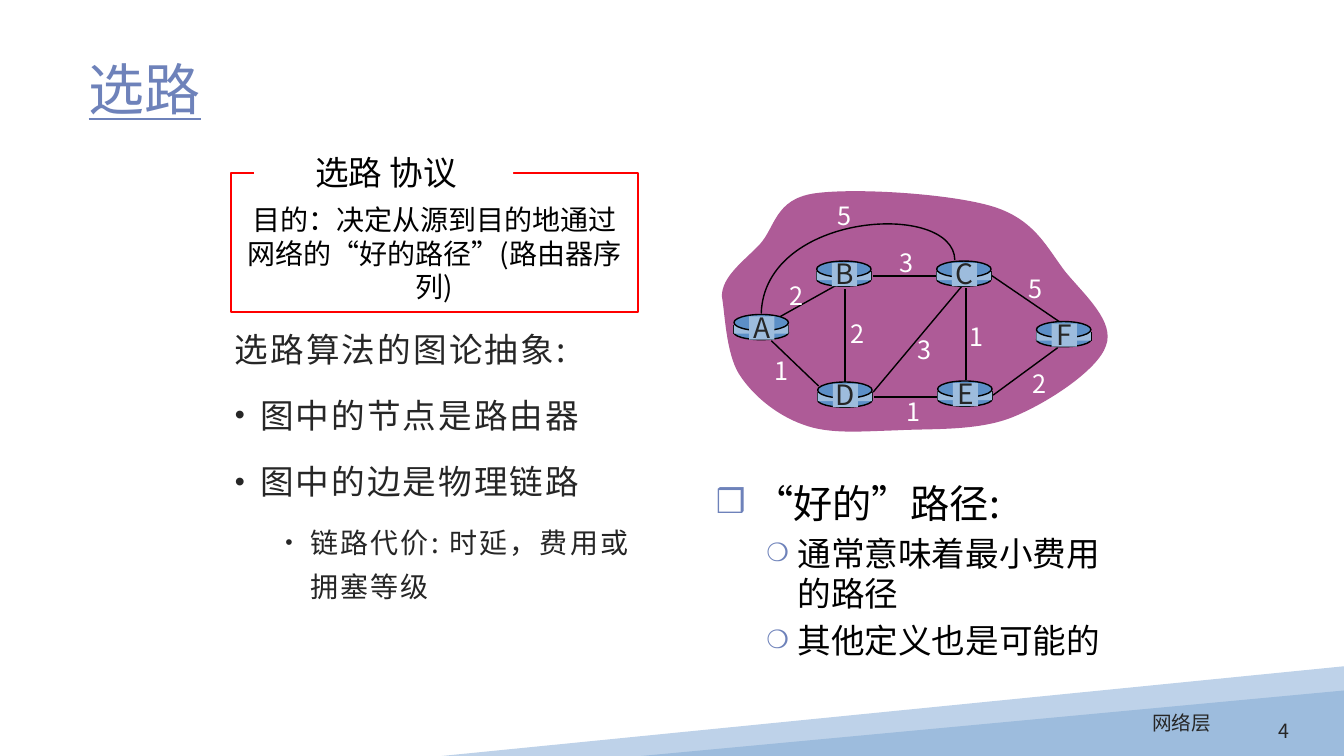
from dataclasses import dataclass
from typing import Optional

from lxml import etree
from pptx import Presentation
from pptx import util as u
from pptx.dml.color import RGBColor
from pptx.enum import shapes, text
from pptx.oxml.ns import qn

FONT = "Noto Sans CJK SC"
BLACK = RGBColor(0x00, 0x00, 0x00)
WHITE = RGBColor(0xFF, 0xFF, 0xFF)
INK = RGBColor(0x26, 0x26, 0x26)
RED = RGBColor(0xFF, 0x00, 0x00)
ACCENT = RGBColor(0x6E, 0x82, 0xBA)
CLOUD = RGBColor(0xAE, 0x5B, 0x97)
ROUTER_BLUE = RGBColor(0x5C, 0x8F, 0xC7)
ROUTER_LIGHT = RGBColor(0x9D, 0xBC, 0xDD)
BAND_LIGHT = RGBColor(0xBE, 0xD2, 0xE9)

LEFT, CENTER, RIGHT = text.PP_ALIGN.LEFT, text.PP_ALIGN.CENTER, text.PP_ALIGN.RIGHT
RECT, OVAL = shapes.MSO_SHAPE.RECTANGLE, shapes.MSO_SHAPE.OVAL
ROUTER_WIDTH = 0.54

Point = tuple[float, float]


@dataclass
class Router:
    name: str
    left: float
    top: float


@dataclass
class Link:
    start: Point
    end: Point
    cost: str
    cost_at: Point


@dataclass
class Item:
    words: str
    size: float
    margin: float
    hang: float
    bullet: str = ""
    bullet_size: int = 100
    level: int = 0
    before: float = 0


ROUTERS = [
    Router("A", 7.28, 3.12), Router("B", 8.1, 2.59), Router("C", 9.29, 2.59),
    Router("D", 8.11, 3.79), Router("E", 9.3, 3.78), Router("F", 10.28, 3.19),
]
LINKS = [
    Link((7.74, 3.14), (8.33, 2.81), "2", (7.72, 2.73)),
    Link((8.38, 2.87), (8.38, 3.8), "2", (8.33, 3.11)),
    Link((8.12, 3.83), (7.65, 3.38), "1", (7.57, 3.48)),
    Link((8.66, 3.89), (9.54, 2.84), "3", (8.99, 3.27)),
    Link((9.31, 3.94), (8.67, 3.94), "1", (8.88, 3.88)),
    Link((9.58, 2.86), (9.58, 3.77), "1", (9.51, 3.14)),
    Link((9.85, 3.92), (10.49, 3.45), "2", (10.13, 3.6)),
    Link((10.52, 3.2), (9.83, 2.73), "5", (10.09, 2.66)),
    Link((9.3, 2.74), (8.66, 2.74), "3", (8.81, 2.4)),
]
# Bezier points: a start, then two controls and an end for each segment
CLOUD_CURVE = [
    (7.16, 2.94), (7.16, 2.74), (7.38, 2.59), (7.54, 2.42),
    (7.69, 2.25), (7.69, 1.98), (8.07, 1.92), (8.46, 1.86), (9.43, 1.92), (9.85, 2.05),
    (10.27, 2.18), (10.39, 2.47), (10.57, 2.7), (10.76, 2.93), (11.06, 3.19), (10.97, 3.43),
    (10.89, 3.67), (10.39, 4), (10.04, 4.14), (9.69, 4.28), (9.23, 4.25), (8.88, 4.27),
    (8.53, 4.28), (8.22, 4.31), (7.96, 4.21), (7.71, 4.12), (7.47, 3.93), (7.33, 3.71),
    (7.2, 3.5), (7.19, 3.1), (7.16, 2.94),
]
A_TO_C_CURVE = [(9.47, 2.58), (9.46, 1.99), (7.58, 2.1), (7.55, 3.11)]
BAND_OUTLINE = [(13.33, 6.61), (13.33, 7.44), (8.97, 7.5), (4.38, 7.5)]
GRAPH_ITEMS = [
    Item("选路算法的图论抽象:", 24, 0.25, 0.25),
    Item("图中的节点是路由器", 24, 0.25, 0.25, "•", 85),
    Item("图中的边是物理链路", 24, 0.25, 0.25, "•", 85),
    Item("链路代价: 时延，费用或拥塞等级", 20, 0.75, 0.25, "•", 75, 1),
]
PATH_ITEMS = [
    Item("“好的”路径:", 28, 0.38, 0.38, "❒", 85),
    Item("通常意味着最小费用的路径", 24, 0.81, 0.31, "❍", 75, 1, 4.8),
    Item("其他定义也是可能的", 24, 0.81, 0.31, "❍", 75, 1, 4.8),
]


def paint(shape, fill: Optional[RGBColor], line: Optional[RGBColor] = None, weight: float = 1) -> None:
    shape.shadow.inherit = False
    if fill is None:
        shape.fill.background()
    else:
        shape.fill.solid()
        shape.fill.fore_color.rgb = fill
    if line is None:
        shape.line.fill.background()
    else:
        shape.line.color.rgb = line
        shape.line.width = u.Pt(weight)


def place(shape, *box: float) -> None:
    shape.left, shape.top, shape.width, shape.height = map(u.Inches, box)


def add_preset(slide, kind, box: tuple, fill, line=None, weight: float = 1):
    shape = slide.shapes.add_shape(kind, *map(u.Inches, box))
    paint(shape, fill, line, weight)
    return shape


def add_outline(slide, points: list[Point], close: bool, fill, line=None):
    corners = [(u.Inches(x), u.Inches(y)) for x, y in points]
    builder = slide.shapes.build_freeform(*corners[0])
    builder.add_line_segments(corners[1:], close=close)
    outline = builder.convert_to_shape()
    paint(outline, fill, line)
    return outline


def bend(outline) -> None:
    """Turn each three line segments of the outline into one Bezier segment."""
    segments = list(outline._element.iter(qn("a:lnTo")))
    for first in range(0, len(segments), 3):
        curve = etree.Element(qn("a:cubicBezTo"))
        segments[first].addprevious(curve)
        for segment in segments[first:first + 3]:
            curve.append(segment[0])
            segment.getparent().remove(segment)


def add_line(slide, start: Point, end: Point) -> None:
    line = slide.shapes.add_connector(shapes.MSO_CONNECTOR.STRAIGHT, *map(u.Inches, start + end))
    line.line.color.rgb = BLACK
    line.line.width = u.Pt(1)
    etree.SubElement(line._element.spPr, qn("a:effectLst"))


def style(paragraph, size: float, color: RGBColor, align=LEFT) -> None:
    paragraph.alignment = align
    paragraph.font.name = FONT
    paragraph.font.size = u.Pt(size)
    paragraph.font.color.rgb = color


def add_text(slide, words: str, box: tuple, size: float, color: RGBColor, align=CENTER, wrap: bool = False):
    frame = slide.shapes.add_textbox(*map(u.Inches, box)).text_frame
    frame.word_wrap = wrap
    frame.text = words
    style(frame.paragraphs[0], size, color, align)
    return frame


def add_bullet(paragraph, item: Item, color: RGBColor) -> None:
    properties = paragraph._p.get_or_add_pPr()
    properties.set("marL", str(u.Inches(item.margin)))
    properties.set("indent", str(-u.Inches(item.hang)))
    if not item.bullet:
        etree.SubElement(properties, qn("a:buNone"))
        return
    bullet_color = etree.SubElement(properties, qn("a:buClr"))
    etree.SubElement(bullet_color, qn("a:srgbClr"), val=str(color))
    etree.SubElement(properties, qn("a:buSzPct"), val=str(item.bullet_size * 1000))
    etree.SubElement(properties, qn("a:buChar"), char=item.bullet)


def fill_list(body, items: list[Item], color: RGBColor, bullet_color: RGBColor,
              line_spacing: float, after: float, tracking: int) -> None:
    frame = body.text_frame
    frame.auto_size = text.MSO_AUTO_SIZE.NONE
    frame.text = "\n".join(item.words for item in items)
    for paragraph, item in zip(frame.paragraphs, items):
        paragraph.level = item.level
        add_bullet(paragraph, item, bullet_color)
        paragraph.line_spacing = line_spacing
        paragraph.space_before = u.Pt(item.before)
        paragraph.space_after = u.Pt(after)
        style(paragraph, item.size, color)
        paragraph._p.pPr.find(qn("a:defRPr")).set("spc", str(tracking))


def draw_router(slide, router: Router) -> None:
    x, y = router.left, router.top
    add_preset(slide, OVAL, (x, y + 0.11, ROUTER_WIDTH, 0.14), ROUTER_BLUE, BLACK)
    for side in (x, x + ROUTER_WIDTH):
        add_line(slide, (side, y + 0.1), (side, y + 0.19))
    add_preset(slide, RECT, (x, y + 0.1, ROUTER_WIDTH, 0.09), ROUTER_LIGHT)
    add_preset(slide, OVAL, (x, y, ROUTER_WIDTH, 0.16), ROUTER_BLUE, BLACK)
    add_preset(slide, RECT, (x + 0.15, y + 0.02, 0.25, 0.23), ROUTER_LIGHT)
    add_text(slide, router.name, (x + 0.08, y - 0.09, 0.39, 0.44), 20, INK)


def draw_network(slide) -> None:
    bend(add_outline(slide, CLOUD_CURVE, True, CLOUD))
    for link in LINKS:
        add_line(slide, link.start, link.end)
    bend(add_outline(slide, A_TO_C_CURVE, False, None, BLACK))
    for router in ROUTERS:
        draw_router(slide, router)
    for cost, corner in [(link.cost, link.cost_at) for link in LINKS] + [("5", (8.2, 1.94))]:
        add_text(slide, cost, corner + (0.36, 0.4), 18, WHITE)


def main() -> None:
    deck = Presentation()
    deck.slide_width, deck.slide_height = u.Inches(13.33), u.Inches(7.5)
    slide = deck.slides.add_slide(deck.slide_layouts.get_by_name("Two Content"))
    title, graph_list, path_list = slide.placeholders

    add_outline(slide, BAND_OUTLINE, True, BAND_LIGHT)
    band = add_preset(slide, shapes.MSO_SHAPE.ISOSCELES_TRIANGLE, (6.36, 6.85, 6.97, 0.65), ROUTER_LIGHT)
    band.adjustments[0] = 1

    place(title, 0.78, 0.25, 11.33, 1.25)
    title.text_frame.text = "选路"
    title.text_frame.vertical_anchor = text.MSO_ANCHOR.MIDDLE
    style(title.text_frame.paragraphs[0], 40, ACCENT)
    title.text_frame.paragraphs[0].font.underline = True

    place(graph_list, 2.23, 3.09, 4.17, 3.8)
    fill_list(graph_list, GRAPH_ITEMS, INK, INK, 1.3, 10, 150)
    place(path_list, 7, 4.7, 4.17, 1.86)
    fill_list(path_list, PATH_ITEMS, BLACK, ACCENT, 1, 0, 0)

    add_text(slide, "目的：决定从源到目的地通过网络的“好的路径”(路由器序列)",
             (2.28, 1.96, 4.06, 1.11), 20, BLACK, wrap=True)
    add_preset(slide, RECT, (2.29, 1.72, 4.04, 1.38), None, RED, 1.5)
    add_preset(slide, RECT, (2.52, 1.52, 2.57, 0.39), WHITE)
    add_text(slide, "选路 协议", (3.01, 1.46, 1.64, 0.5), 24, BLACK)

    draw_network(slide)

    add_text(slide, "网络层", (7.89, 7, 4.22, 0.5), 14, INK, RIGHT, wrap=True)
    number = add_text(slide, "4", (11.9, 7, 0.99, 0.5), 14, INK, RIGHT, wrap=True)
    number.vertical_anchor = text.MSO_ANCHOR.MIDDLE
    deck.save("out.pptx")


if __name__ == "__main__":
    main()
